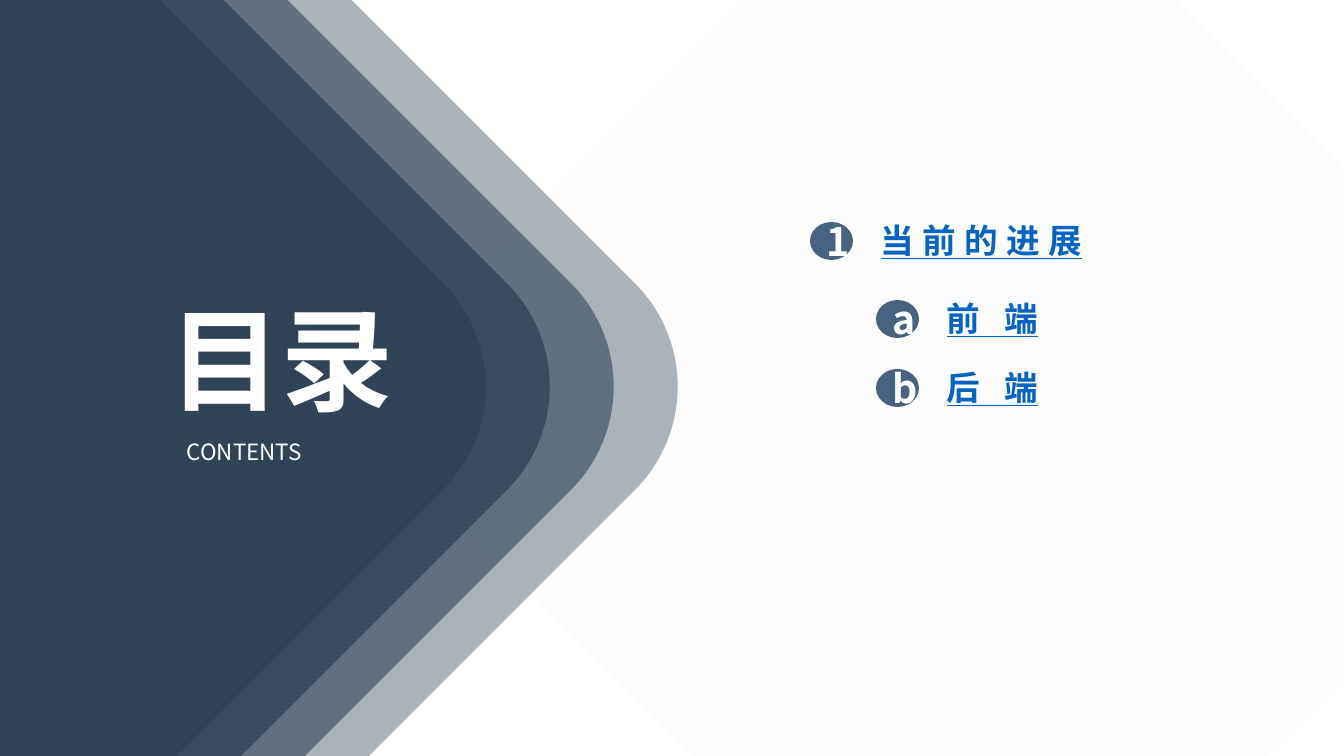
import pptx
import pptx.util
import pptx.dml.color
import pptx.enum.shapes
import pptx.enum.text
import pptx.oxml
import pptx.oxml.ns
from dataclasses import dataclass

ALIGN = pptx.enum.text.PP_ALIGN
SHAPE = pptx.enum.shapes.MSO_SHAPE
EMU_PER_PX = 12192000 / 1344


@dataclass(frozen=True)
class Theme:
    font: str = "Noto Sans CJK SC"
    navy: str = "314457"
    badge: str = "48637F"
    pale: str = "F2F2F2"
    white: str = "FFFFFF"
    link: str = "0563C1"
    title_size: int = 80
    badge_size: int = 28
    item_size: int = 24
    subtitle_size: int = 16
    item_spacing: int = 6


THEME = Theme()


def px(length):
    return pptx.util.Emu(round(length * EMU_PER_PX))


def color(value):
    return pptx.dml.color.RGBColor.from_string(value)


def write(shape, text, size, text_color, align, bold=False):
    """Set one line of text, centred vertically, and return its run."""
    frame = shape.text_frame
    frame.text = text
    frame.word_wrap = True
    frame.auto_size = pptx.enum.text.MSO_AUTO_SIZE.NONE
    frame.vertical_anchor = pptx.enum.text.MSO_ANCHOR.MIDDLE
    paragraph = frame.paragraphs[0]
    paragraph.alignment = align
    run = paragraph.runs[0]
    run.font.size = pptx.util.Pt(size)
    run.font.bold = bold
    run.font.color.rgb = color(text_color)
    run.font.name = THEME.font
    east_asian = pptx.oxml.parse_xml(
        f'<a:ea {pptx.oxml.ns.nsdecls("a")} typeface="{THEME.font}"/>')
    run.font.fill  # the fill precedes the typefaces
    run.font._element.append(east_asian)
    return run


def add_filled(slide, kind, left, top, width, height, fill, opacity=100):
    shape = slide.shapes.add_shape(kind, px(left), px(top), px(width), px(height))
    shape.shadow.inherit = False
    shape.fill.solid()
    shape.fill.fore_color.rgb = color(fill)
    shape.line.fill.background()
    if opacity < 100:
        tone = shape.element.spPr.find(".//" + pptx.oxml.ns.qn("a:srgbClr"))
        tone.append(pptx.oxml.parse_xml(
            f'<a:alpha {pptx.oxml.ns.nsdecls("a")} val="{opacity * 1000}"/>'))
    return shape


def add_diamond(slide, left, top, fill, opacity):
    diamond = add_filled(slide, SHAPE.ROUNDED_RECTANGLE, left, top, 900, 877,
                         fill, opacity)
    diamond.rotation = 45


def add_title(slide, text):
    title = slide.shapes.title
    title.left, title.top, title.width, title.height = map(px, (151, 285, 262, 146))
    write(title, text, THEME.title_size, THEME.white, ALIGN.CENTER, bold=True)
    # Bring the title in front of the diamonds
    title.element.getparent().append(title.element)


def add_text(slide, left, top, width, height, *style, bold=False):
    box = slide.shapes.add_textbox(px(left), px(top), px(width), px(height))
    return write(box, *style, bold=bold)


def add_entry(slide, left, top, mark, text):
    """Add a round badge with its underlined entry."""
    badge = add_filled(slide, SHAPE.OVAL, left, top, 43, 38, THEME.badge)
    write(badge, mark, THEME.badge_size, THEME.white, ALIGN.CENTER, bold=True)
    run = add_text(slide, left + 61, top - 7, 240, 50, text, THEME.item_size,
                   THEME.link, ALIGN.LEFT, bold=True)
    run.font.underline = True
    run.font._element.set("spc", str(THEME.item_spacing * 100))


def main():
    presentation = pptx.Presentation()
    presentation.slide_width, presentation.slide_height = px(1344), px(756)
    slide = presentation.slides.add_slide(presentation.slide_layouts[5])

    # Background diamonds, each navy one further left and more opaque
    add_diamond(slide, 520, -24, THEME.pale, 20)
    for step, opacity in enumerate((40, 60, 80, 100)):
        add_diamond(slide, -340 - 64 * step, -60, THEME.navy, opacity)

    # Heading
    add_title(slide, "目录")
    add_text(slide, 177, 433, 210, 37, "CONTENTS", THEME.subtitle_size,
             THEME.white, ALIGN.JUSTIFY)

    # Contents entries
    for left, top, mark, text in (
        (810, 222, "1", "当前的进展"),
        (876, 300, "a", "前 端"),
        (876, 369, "b", "后 端"),
    ):
        add_entry(slide, left, top, mark, text)

    presentation.save("out.pptx")


if __name__ == "__main__":
    main()
